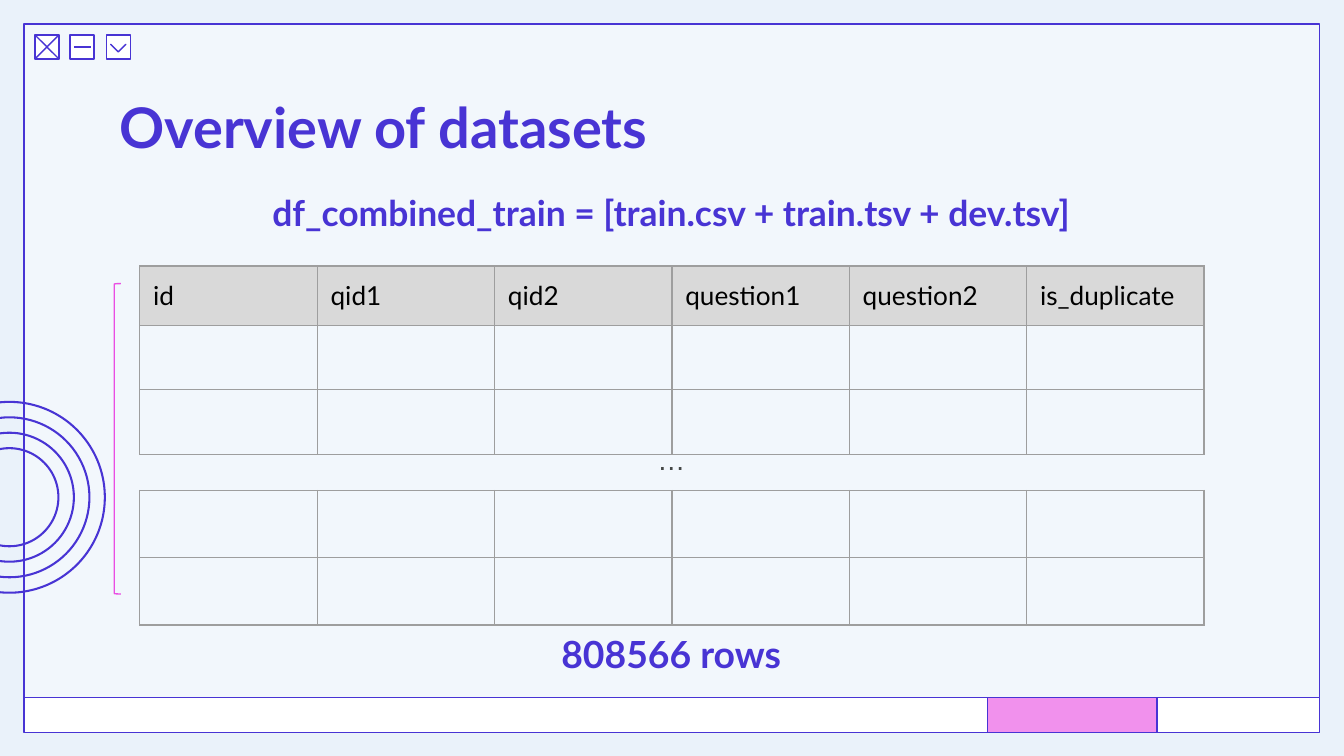
from lxml import etree
from pptx import Presentation
from pptx.dml.color import RGBColor
from pptx.enum.shapes import MSO_CONNECTOR, MSO_SHAPE
from pptx.enum.text import PP_ALIGN
from pptx.oxml.ns import qn
from pptx.util import Inches, Pt

RECTANGLE = MSO_SHAPE.RECTANGLE
OVAL = MSO_SHAPE.OVAL
CROSS = MSO_SHAPE.MATH_MULTIPLY
HALF_FRAME = MSO_SHAPE.HALF_FRAME
LEFT_BRACKET = MSO_SHAPE.LEFT_BRACKET
STRAIGHT = MSO_CONNECTOR.STRAIGHT
LEFT, CENTER = PP_ALIGN.LEFT, PP_ALIGN.CENTER

BACKGROUND = RGBColor(0xEA, 0xF2, 0xFA)
WHITE = RGBColor(0xFF, 0xFF, 0xFF)
BLACK = RGBColor(0x00, 0x00, 0x00)
INDIGO = RGBColor(0x48, 0x34, 0xD4)
PINK = RGBColor(0xEA, 0x4E, 0xE3)
PALE_PINK = RGBColor(0xFF, 0xE8, 0xF5)
YELLOW = RGBColor(0xF9, 0xCA, 0x24)
HEADER_GRAY = RGBColor(0xD9, 0xD9, 0xD9)
BORDER_GRAY = RGBColor(0x9E, 0x9E, 0x9E)
TEXT_GRAY = RGBColor(0x44, 0x47, 0x46)

COLUMNS = ["id", "qid1", "qid2", "question1", "question2", "is_duplicate"]
BLANK_ROW = [""] * len(COLUMNS)


def write_text(text_frame, text, size=14, color=INDIGO, font="Lato", bold=False, align=LEFT):
    paragraph = text_frame.paragraphs[0]
    paragraph.alignment = align
    run = paragraph.add_run()
    run.text = text
    run.font.size = Pt(size)
    run.font.name = font
    run.font.bold = bold
    run.font.color.rgb = color


class SlideBuilder:
    line_width = Pt(0.75)
    inset = Inches(0.1)

    def __init__(self, slide):
        self.slide = slide
        slide.background.fill.solid()
        slide.background.fill.fore_color.rgb = BACKGROUND

    def shape(self, kind, left, top, width, height, fill=None, opacity=None,
              line=INDIGO, line_width=None, rotation=0, adjustments=()):
        shape = self.slide.shapes.add_shape(
            kind, Inches(left), Inches(top), Inches(width), Inches(height))
        shape.shadow.inherit = False
        shape.rotation = rotation
        for index, value in enumerate(adjustments):
            shape.adjustments[index] = value
        shape.line.color.rgb = line
        shape.line.width = line_width or self.line_width
        if fill is None:
            shape.fill.background()
        else:
            shape.fill.solid()
            shape.fill.fore_color.rgb = fill
        if opacity is not None:
            color = shape.fill._xPr.find(qn("a:solidFill"))[0]
            etree.SubElement(color, qn("a:alpha"), val=str(opacity * 1000))

    def line(self, x1, y1, x2, y2):
        connector = self.slide.shapes.add_connector(
            STRAIGHT, Inches(x1), Inches(y1), Inches(x2), Inches(y2))
        connector.line.color.rgb = INDIGO
        connector.line.width = self.line_width
        etree.SubElement(connector._element.spPr, qn("a:effectLst"))

    def text(self, text, left, top, width, height, **style):
        box = self.slide.shapes.add_textbox(
            Inches(left), Inches(top), Inches(width), Inches(height))
        frame = box.text_frame
        frame.word_wrap = True
        frame.margin_left = frame.margin_right = self.inset
        frame.margin_top = frame.margin_bottom = self.inset
        write_text(frame, text, **style)

    def table(self, rows, left, top, column_width, row_heights):
        width, height = column_width * len(rows[0]), sum(row_heights)
        table = self.slide.shapes.add_table(
            len(rows), len(rows[0]), Inches(left), Inches(top),
            Inches(width), Inches(height)).table
        table.first_row = table.horz_banding = False
        for column in table.columns:
            column.width = Inches(column_width)
        for row, row_height, texts in zip(table.rows, row_heights, rows):
            row.height = Inches(row_height)
            for cell, text in zip(row.cells, texts):
                self.cell(cell, text)

    def cell(self, cell, text):
        cell.margin_left = cell.margin_right = self.inset
        # Blank cells need less padding to keep their row height
        cell.margin_top = cell.margin_bottom = self.inset if text else Inches(0.05)
        properties = cell._tc.get_or_add_tcPr()
        for side in ("lnL", "lnR", "lnT", "lnB"):
            border = etree.SubElement(properties, qn(f"a:{side}"), w=str(self.line_width))
            fill = etree.SubElement(border, qn("a:solidFill"))
            etree.SubElement(fill, qn("a:srgbClr"), val=str(BORDER_GRAY))
        if text:
            cell.fill.solid()
            cell.fill.fore_color.rgb = HEADER_GRAY
            write_text(cell.text_frame, text, color=BLACK)
        else:
            cell.fill.background()


def main():
    # Widescreen 16:9 page
    presentation = Presentation()
    presentation.slide_width = Inches(10)
    presentation.slide_height = Inches(10) * 9 // 16
    builder = SlideBuilder(presentation.slides.add_slide(presentation.slide_layouts[6]))

    # Window frame and bottom scroll bar
    builder.shape(RECTANGLE, 0.18, 0.18, 9.64, 5.26, fill=WHITE, opacity=41)
    builder.shape(RECTANGLE, 0.18, 5.19, 9.64, 0.26, fill=WHITE)
    builder.shape(RECTANGLE, 7.35, 5.19, 1.26, 0.26, fill=PINK, opacity=62)

    # Window buttons: close, minimise, collapse
    for left in (0.26, 0.52, 0.79):
        builder.shape(RECTANGLE, left, 0.26, 0.18, 0.18, fill=WHITE)
    builder.shape(CROSS, 0.18, 0.18, 0.34, 0.34, fill=YELLOW, adjustments=[0])
    builder.line(0.55, 0.35, 0.68, 0.35)
    builder.shape(HALF_FRAME, 0.84, 0.29, 0.08, 0.08, fill=PALE_PINK,
                  rotation=225, adjustments=[0, 0])

    # Concentric rings
    center_x, center_y = 0.07, 3.7
    for ring in range(4):
        diameter = 1.42 - 0.23 * ring
        builder.shape(OVAL, center_x - diameter / 2, center_y - diameter / 2,
                      diameter, diameter, line_width=Pt(1.1))

    # Headings
    builder.text("Overview of datasets", 0.79, 0.59, 8.43, 0.63, size=30, bold=True)
    builder.text("df_combined_train = [train.csv + train.tsv + dev.tsv]",
                 1.75, 1.32, 6.49, 0.56, size=19, bold=True, align=CENTER)
    builder.text("808566 rows", 3.21, 4.6, 3.57, 0.56, size=20, bold=True, align=CENTER)

    # First and last rows of the data set
    builder.table([COLUMNS, BLANK_ROW, BLANK_ROW], 1.04, 1.98, 1.32, [0.44, 0.48, 0.48])
    builder.text("…", 1.55, 3.19, 6.89, 0.45, size=15, color=TEXT_GRAY,
                 font="Arial", align=CENTER)
    builder.table([BLANK_ROW, BLANK_ROW], 1.04, 3.65, 1.32, [0.5, 0.5])

    # Bracket spanning all rows
    builder.shape(LEFT_BRACKET, 0.85, 2.11, 0.05, 2.31, line=PINK, adjustments=[0.08])

    presentation.save("out.pptx")


if __name__ == "__main__":
    main()
